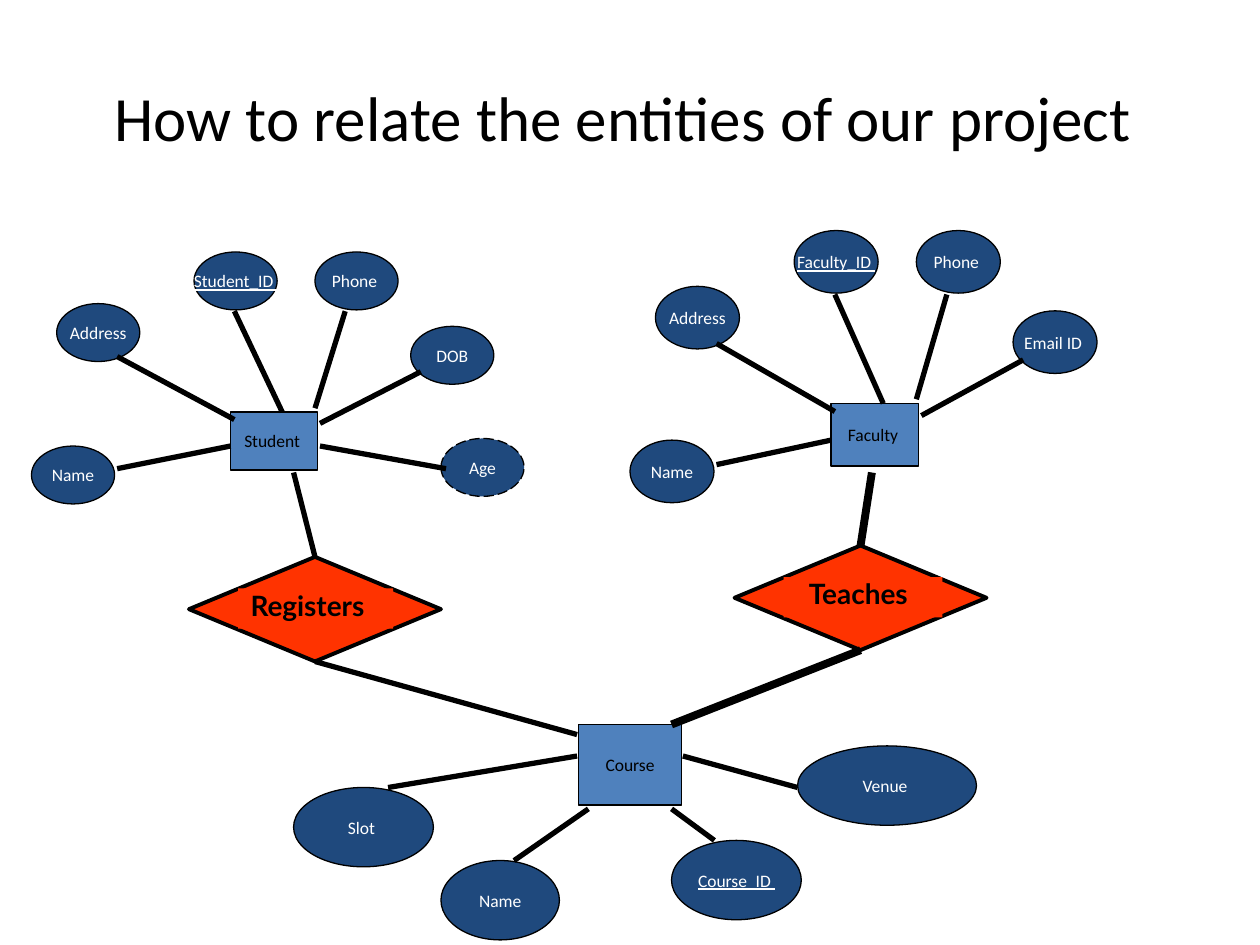
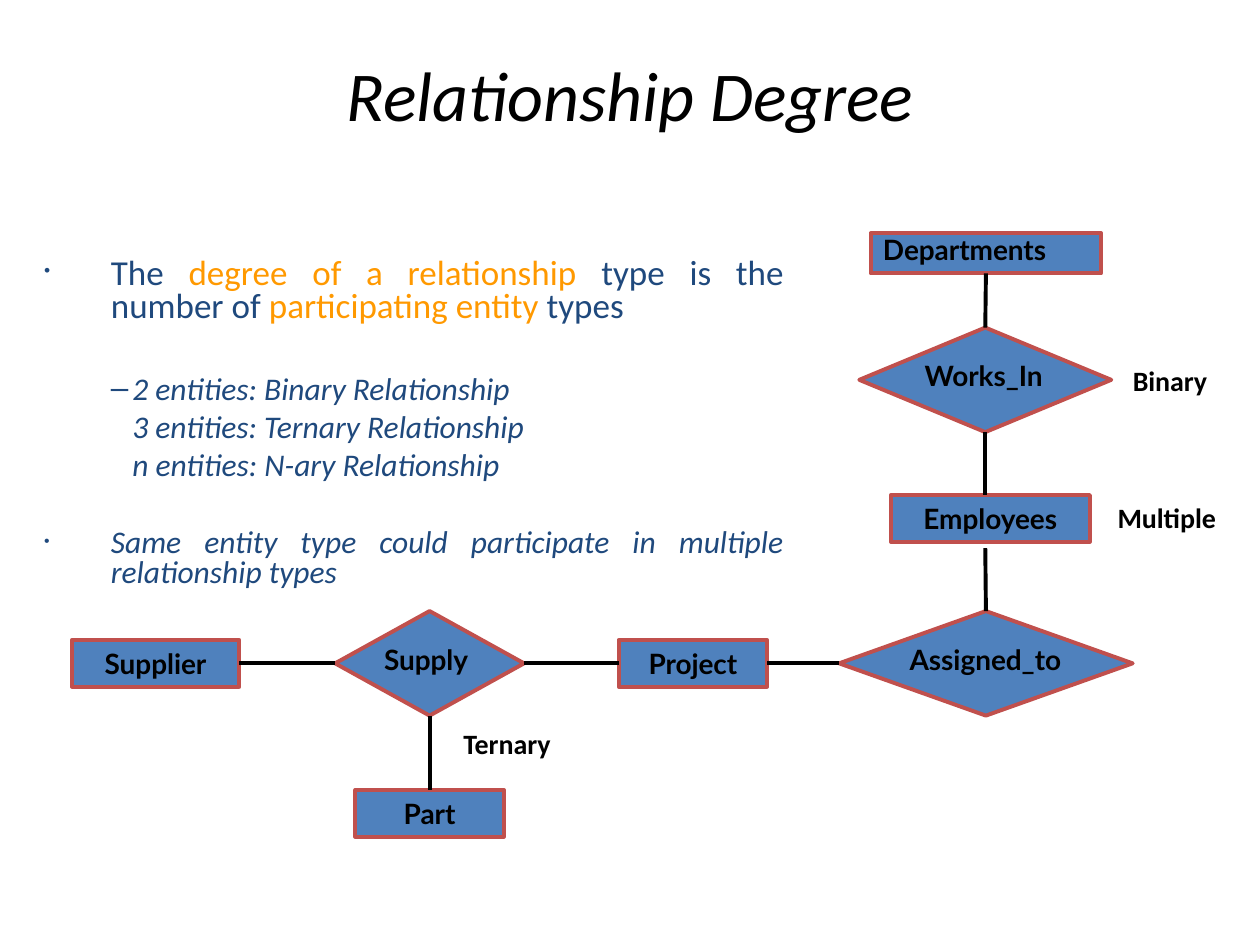
from lxml.etree import SubElement
from pptx import Presentation
from pptx.dml.color import RGBColor
from pptx.enum.dml import MSO_LINE
from pptx.enum.shapes import MSO_CONNECTOR, MSO_SHAPE
from pptx.enum.text import MSO_ANCHOR, MSO_AUTO_SIZE, PP_ALIGN
from pptx.oxml.ns import qn
from pptx.util import Inches, Pt

BLACK, WHITE = "000000", "FFFFFF"
NAVY, BLUE, RED, ORANGE, BRICK = "1F497D", "4F81BD", "FF3300", "FF9900", "C0504D"
TOP, LEFT, BOTTOM, RIGHT = range(4)

TITLE = dict(name="Calibri", size=Pt(36), color=BLACK)
ENTITY = dict(name="Calibri", size=Pt(10), color=BLACK)
ATTRIBUTE = dict(ENTITY, color=WHITE)
KEY = dict(ATTRIBUTE, underline=True)
LABEL = dict(name="Lato", size=Pt(16), color=BLACK, bold=True)
CAPTION = dict(LABEL, name="Calibri")
BODY = dict(name="Calibri", size=Pt(20), color=NAVY)
BODY_ITALIC = dict(BODY, size=Pt(18), italic=True)

PERSON_BOX = (1.58, 1.27, 0.69, 0.46)
PERSON_SPOTS = [
    ((0.2, 0.41), (0.68, 0.83, 1.61, 1.33)),
    ((1.29, 0), (1.61, 0.47, 1.99, 1.27)),
    ((0, 1.54), (0.68, 1.72, 1.58, 1.54)),
    ((2.25, 0), (2.49, 0.47, 2.25, 1.24)),
    ((3.01, 0.59), (3.09, 0.95, 2.29, 1.36)),
    ((3.25, 1.48), (3.29, 1.72, 2.29, 1.54)),
]
COURSE_BOX = (2.26, 0, 0.82, 0.64)
COURSE_ATTRIBUTES = [
    ("Name", (1.17, 1.08, 0.94, 0.63), (1.75, 1.08, 2.34, 0.67)),
    ("Slot ", (0, 0.5, 1.11, 0.63), (0.75, 0.5, 2.25, 0.25)),
    ("Course_ID ", (3, 0.92, 1.03, 0.63), (3.34, 0.92, 3, 0.67)),
    ("Venue ", (4, 0.17, 1.42, 0.63), (4, 0.5, 3.09, 0.25)),
]


def rgb(color):
    return RGBColor.from_string(color)


def add_run(p, text, fmt):
    r = p.add_run()
    r.text = text
    for name, value in fmt.items():
        if name == "color":
            r.font.color.rgb = rgb(value)
        else:
            setattr(r.font, name, value)


def write(sp, text, fmt, align=PP_ALIGN.CENTER, spacing=None, **frame):
    tf = sp.text_frame
    for name, value in frame.items():
        setattr(tf, name, value)
    p = tf.paragraphs[0]
    p.alignment = align
    p.line_spacing = spacing
    add_run(p, text, fmt)


def add_shape(s, kind, box, fill, line=None, width=0.75):
    sp = s.shapes.add_shape(kind, *map(Inches, box))
    sp.shadow.inherit = False
    sp.fill.solid()
    sp.fill.fore_color.rgb = rgb(fill)
    if line:
        sp.line.color.rgb = rgb(line)
        sp.line.width = Pt(width)
    else:
        sp.line.fill.background()
    return sp


def add_line(s, points=(0, 0, 0, 0), width=3, begin=None, end=None):
    c = s.shapes.add_connector(MSO_CONNECTOR.STRAIGHT, *map(Inches, points))
    c.line.color.rgb = rgb(BLACK)
    c.line.width = Pt(width)
    SubElement(c._element.spPr, qn("a:effectLst"))
    if begin:
        c.begin_connect(*begin)
    if end:
        c.end_connect(*end)
    return c


def add_title(s, text, box, **fmt):
    sp = s.shapes.title
    place(sp, box)
    write(sp, text, dict(TITLE, **fmt), vertical_anchor=MSO_ANCHOR.MIDDLE,
          auto_size=MSO_AUTO_SIZE.NONE)


def place(sp, box):
    sp.left, sp.top, sp.width, sp.height = map(Inches, box)


def add_cluster(s, origin, entity, entity_box, attributes, scale=(1, 1)):
    def fit(values):
        return [v * scale[i % 2] for i, v in enumerate(values)]

    def shift(values):
        return [v + origin[i % 2] for i, v in enumerate(fit(values))]

    def node(kind, box, text, fill, fmt):
        sp = add_shape(s, kind, shift(box[:2]) + fit(box[2:]), fill, BLACK)
        write(sp, text, fmt, word_wrap=False, vertical_anchor=MSO_ANCHOR.MIDDLE)
        return sp

    node(MSO_SHAPE.RECTANGLE, entity_box, entity, BLUE, ENTITY)
    for text, box, link in attributes:
        sp = node(MSO_SHAPE.OVAL, box, text, NAVY, KEY if "_ID" in text else ATTRIBUTE)
        if text == "Age":
            sp.line.dash_style = MSO_LINE.LONG_DASH
        add_line(s, shift(link))


def add_person(s, origin, entity, names, scale=(1, 1)):
    attributes = [(name, (*at, 0.66, 0.46), link)
                  for name, (at, link) in zip(names, PERSON_SPOTS)]
    add_cluster(s, origin, entity, PERSON_BOX, attributes, scale)


def add_diamond(s, box, text, label_box, fill, line, label_fill=None, pad=0.1):
    x, y = box[:2]
    dx, dy, w, h = label_box
    diamond = add_shape(s, MSO_SHAPE.DIAMOND, box, fill, line, 2.25)
    at = (x + dx, y + dy, w, h)
    if label_fill:
        sp = add_shape(s, MSO_SHAPE.RECTANGLE, at, label_fill)
    else:
        sp = s.shapes.add_textbox(*map(Inches, at))
    write(sp, text, LABEL, PP_ALIGN.LEFT, 0.8, word_wrap=False, margin_left=Inches(pad),
          vertical_anchor=MSO_ANCHOR.TOP, auto_size=MSO_AUTO_SIZE.SHAPE_TO_FIT_TEXT)
    return diamond


def add_entity(s, box, text, align=PP_ALIGN.CENTER, spacing=None):
    sp = add_shape(s, MSO_SHAPE.RECTANGLE, box, BLUE, BRICK, 2.25)
    write(sp, text, LABEL, align, spacing, vertical_anchor=MSO_ANCHOR.TOP,
          auto_size=MSO_AUTO_SIZE.SHAPE_TO_FIT_TEXT)
    return sp


def add_caption(s, box, text):
    sp = s.shapes.add_textbox(*map(Inches, box))
    write(sp, text, CAPTION, PP_ALIGN.RIGHT, word_wrap=False,
          auto_size=MSO_AUTO_SIZE.SHAPE_TO_FIT_TEXT)


def set_bullet(p, margin, hanging, char=None, percent=100):
    pPr = p._p.get_or_add_pPr()
    pPr.set("marL", str(Inches(margin)))
    pPr.set("indent", str(-Inches(hanging)))
    if not char:
        SubElement(pPr, qn("a:buNone"))
        return
    SubElement(SubElement(pPr, qn("a:buClr")), qn("a:srgbClr"), val=NAVY)
    SubElement(pPr, qn("a:buSzPct"), val=str(percent * 1000))
    SubElement(pPr, qn("a:buChar"), char=char)


def add_body(s, box):
    accent = dict(BODY, color=ORANGE)
    point, dash, plain = (0.53, 0.53, "•", 50), (0.7, 0.17, "–"), (0.7, 0)
    items = [
        (point, 0, [("The ", BODY), ("degree of a relationship ", accent),
                    ("type is the number of ", BODY),
                    ("participating entity", accent), (" types", BODY)]),
        (dash, 29, [("2 entities: Binary Relationship ", BODY_ITALIC)]),
        (plain, 4.5, [("3 entities: Ternary Relationship", BODY_ITALIC)]),
        (plain, 4.5, [("n entities: N-ary Relationship", BODY_ITALIC)]),
        (point, 26.5, [("Same entity type could participate in multiple relationship types",
                        BODY_ITALIC)]),
    ]
    sp = s.placeholders[1]
    place(sp, box)
    tf = sp.text_frame
    tf.auto_size = MSO_AUTO_SIZE.NONE
    for i, (bullet, before, runs) in enumerate(items):
        p = tf.add_paragraph() if i else tf.paragraphs[0]
        set_bullet(p, *bullet)
        p.alignment = PP_ALIGN.JUSTIFY
        p.line_spacing = 0.8
        p.space_before = Pt(before)
        for text, fmt in runs:
            add_run(p, text, fmt)


def build_project_entities(prs):
    s = prs.slides.add_slide(prs.slide_layouts[5])
    add_title(s, "How to relate the entities of our project ", (0.5, 0.3, 9, 1.25))
    add_person(s, (0.25, 2), "Student ",
               ["Address", "Student_ID ", "Name", "Phone ", "DOB", "Age"])
    add_person(s, (5, 1.83), "Faculty ",
               ["Address", "Faculty_ID ", "Name", "Phone ", "Email ID "], (1.01, 1.08))
    add_cluster(s, (2.33, 5.75), "Course", COURSE_BOX, COURSE_ATTRIBUTES)
    relations = [
        ("Registers", (1.5, 4.42), 1.23, 0.1, 3, (2.33, 3.75), (4.58, 5.83)),
        ("Teaches", (5.83, 4.33), 1.26, 0.2, 4.5, (6.92, 3.75), (5.33, 5.75)),
    ]
    for text, at, label_width, pad, width, start, finish in relations:
        diamond = add_diamond(s, (*at, 2, 0.83), text, (0.39, 0.25, label_width, 0.32),
                              RED, BLACK, RED, pad)
        add_line(s, (*start, *start), width, end=(diamond, TOP))
        add_line(s, (*finish, *finish), width, begin=(diamond, BOTTOM))


def add_degree_diagram(s, x, y):
    def entity(text, dx, dy, w, h=0.37, *fmt):
        return add_entity(s, (x + dx, y + dy, w, h), text, *fmt)

    def relation(text, dx, dy, w, label_dx, label_w):
        return add_diamond(s, (x + dx, y + dy, w, 0.83), text,
                           (label_dx, 0.25, label_w, 0.32), BLUE, BRICK)

    row = 3.23
    part = entity("Part", 2.25, 4.42, 1.18)
    supplier = entity("Supplier", 0, row, 1.33)
    supply = relation("Supply", 2.09, 3, 1.5, 0.29, 0.94)
    project = entity("Project", 4.34, row, 1.18)
    entity("Employees", 6.5, 2.08, 1.58)
    departments = entity("Departments", 6.34, 0, 1.83, 0.32, PP_ALIGN.LEFT, 0.8)
    works_in = relation("Works_In", 6.25, 0.75, 2, 0.42, 1.22)
    assigned_to = relation("Assigned_to", 6.09, 3, 2.33, 0.46, 1.52)

    links = [
        (supply, BOTTOM, part, TOP),
        (supplier, RIGHT, supply, LEFT),
        (supply, RIGHT, project, LEFT),
        (project, RIGHT, assigned_to, LEFT),
        (departments, BOTTOM, works_in, TOP),
    ]
    for a, side_a, b, side_b in links:
        add_line(s, width=2.25, begin=(a, side_a), end=(b, side_b))
    for relation_shape, side, dy in [(works_in, BOTTOM, 2.08), (assigned_to, TOP, 2.5)]:
        add_line(s, (x + 7.25, y + dy) * 2, 2.25, begin=(relation_shape, side))

    for text, dx, dy, w in [("Ternary", 2.99, 3.87, 0.91), ("Multiple", 8.08, 2.07, 1.1),
                            ("Binary", 8.32, 0.99, 0.79)]:
        add_caption(s, (x + dx, y + dy, w, 0.37), text)


def build_relationship_degree(prs):
    s = prs.slides.add_slide(prs.slide_layouts[1])
    add_title(s, "Relationship Degree", (0.5, 0.32, 9, 0.85), size=Pt(40), italic=True)
    add_body(s, (0.25, 2, 6.07, 2.86))
    add_degree_diagram(s, 0.57, 1.85)


def main():
    prs = Presentation()
    prs.slide_width, prs.slide_height = Inches(10), Inches(7.5)
    build_project_entities(prs)
    build_relationship_degree(prs)
    prs.save("out.pptx")


if __name__ == "__main__":
    main()
